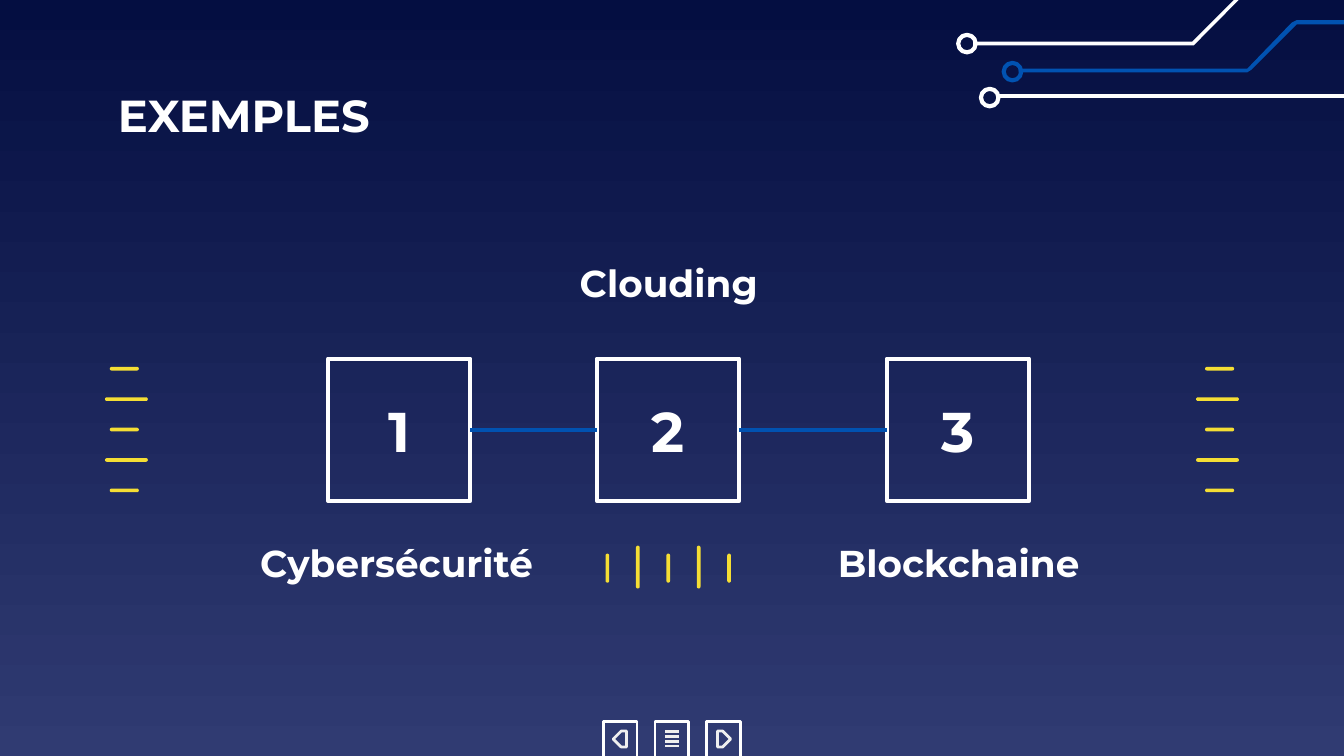
from lxml import etree
from pptx import Presentation
from pptx.dml.color import RGBColor
from pptx.enum.shapes import MSO_CONNECTOR, MSO_SHAPE
from pptx.enum.text import MSO_ANCHOR, MSO_AUTO_SIZE, PP_ALIGN
from pptx.oxml.ns import qn
from pptx.util import Cm, Pt

RECT = MSO_SHAPE.RECTANGLE
OVAL = MSO_SHAPE.OVAL
ROUNDED = MSO_SHAPE.ROUNDED_RECTANGLE
STRAIGHT = MSO_CONNECTOR.STRAIGHT
MIDDLE = MSO_ANCHOR.MIDDLE
NO_AUTOFIT = MSO_AUTO_SIZE.NONE
LEFT, CENTER = PP_ALIGN.LEFT, PP_ALIGN.CENTER

FONT = "Montserrat"
WHITE, BLUE, YELLOW = "FFFFFF", "0152B1", "F5DE34"
NAVY, INDIGO, PALE = "040E41", "303B72", "EFEFEF"

TRACES = [
    (WHITE, (18.11, 0.66), [
        (23.44, -0.1), (23.42, -0.1), (22.53, 0.79), (18.39, 0.79),
        (18.39, 0.86), (22.56, 0.86), (22.58, 0.84), (23.44, -0.03),
        (24.38, -0.03), (24.38, -0.1)]),
    (BLUE, (18.97, 1.19), [
        (24.51, 0.38), (24.41, 0.43), (23.6, 1.27), (23.57, 1.3),
        (19.25, 1.3), (19.25, 1.37), (23.57, 1.37), (23.65, 1.32),
        (24.49, 0.48), (24.51, 0.46), (26.04, 0.46), (26.04, 0.38)]),
    (WHITE, (18.54, 1.68), [
        (18.82, 1.78), (18.82, 1.85), (25.55, 1.85), (25.55, 1.78)]),
]
LABELS = [
    ("Cybersécurité", 4.5, 10.03, 5.99),
    ("Clouding", 9.86, 4.75, 5.56),
    ("Blockchaine", 15.34, 10.03, 5.56),
]
BOX_LEFTS = (6.2, 11.28, 16.76)


def rgb(color):
    return RGBColor.from_string(color)


def paint(sp, fill=None, line=None, width=2.25):
    sp.shadow.inherit = False
    if fill:
        sp.fill.solid()
        sp.fill.fore_color.rgb = rgb(fill)
    else:
        sp.fill.background()
    if line:
        sp.line.color.rgb = rgb(line)
        sp.line.width = Pt(width)
    else:
        sp.line.fill.background()


def add_preset(s, kind, x, y, w, h, **style):
    sp = s.shapes.add_shape(kind, Cm(x), Cm(y), Cm(w), Cm(h))
    paint(sp, **style)
    return sp


def add_outline(s, points, **style):
    start, *rest = [(Cm(x), Cm(y)) for x, y in points]
    builder = s.shapes.build_freeform(*start)
    builder.add_line_segments(rest, close=True)
    paint(builder.convert_to_shape(), **style)


def add_line(s, x1, y1, x2, y2, color, width):
    line = s.shapes.add_connector(STRAIGHT, Cm(x1), Cm(y1), Cm(x2), Cm(y2))
    line.line.color.rgb = rgb(color)
    line.line.width = Pt(width)
    etree.SubElement(line._element.spPr, qn("a:effectLst"))
    return line


def write(sp, text, size, align=CENTER):
    tf = sp.text_frame
    tf.word_wrap = True
    tf.auto_size = NO_AUTOFIT
    tf.vertical_anchor = MIDDLE
    tf.margin_left = tf.margin_right = tf.margin_top = tf.margin_bottom = Cm(0.25)
    p = tf.paragraphs[0]
    p.text = text
    p.alignment = align
    p.font.name = FONT
    p.font.size = Pt(size)
    p.font.bold = True
    p.font.color.rgb = rgb(WHITE)


def set_background(s):
    fill = s.background.fill
    fill.gradient()
    fill.gradient_angle = 270
    for stop, color in zip(fill.gradient_stops, (NAVY, INDIGO)):
        stop.color.rgb = rgb(color)


def add_title(s, text):
    title = s.shapes.title
    title.left, title.top = Cm(1.98), Cm(1.5)
    title.width, title.height = Cm(9.78), Cm(1.32)
    write(title, text, 24, LEFT)


def add_circuit(s):
    for color, (x, y), points in TRACES:
        add_outline(s, points, fill=color)
        add_preset(s, OVAL, x, y, 0.33, 0.33, line=color)


def add_ticks(s, cx, cy, long_shift, stacked):
    for i in range(5):
        is_long = i % 2
        length = 0.81 if is_long else 0.55
        shift = long_shift if is_long else 0
        if stacked:
            x, y, w, h = cx + shift, cy + i * 0.575, length, 0.07
        else:
            x, y, w, h = cx + i * 0.575, cy + shift, 0.07, length
        tick = add_preset(s, ROUNDED, x - w / 2, y - h / 2, w, h, fill=YELLOW)
        tick.adjustments[0] = 0.5


def add_steps(s):
    boxes = []
    for number, x in enumerate(BOX_LEFTS, 1):
        box = add_preset(s, RECT, x, 6.78, 2.69, 2.69, line=WHITE)
        write(box, str(number), 30)
        boxes.append(box)
    for before, after in zip(boxes, boxes[1:]):
        link = add_line(s, 0, 0, 1, 1, BLUE, 2.25)
        link.begin_connect(before, 3)
        link.end_connect(after, 1)


def add_label(s, text, x, y, w):
    box = s.shapes.add_textbox(Cm(x), Cm(y), Cm(w), Cm(1.19))
    write(box, text, 20)


def add_arrow(s, x, direction):
    top = 13.82
    points = [(0, 0), (0, 0.3), (0.1, 0.3), (0.25, 0.15), (0.1, 0)]
    add_outline(s, [(x + direction * dx, top + dy) for dx, dy in points],
                line=PALE, width=1.5)


def add_navigation(s):
    for i in range(3):
        add_preset(s, RECT, 11.4 + i * 0.98, 13.64, 0.64, 0.86,
                   fill=INDIGO, line=WHITE, width=1.5)
    add_arrow(s, 11.84, -1)
    add_arrow(s, 13.56, 1)
    for i in range(4):
        y = 13.83 + i * 0.09
        add_line(s, 12.57, y, 12.83, y, PALE, 1.5)


def main():
    prs = Presentation()
    prs.slide_width, prs.slide_height = Cm(25.4), Cm(14.29)
    s = prs.slides.add_slide(prs.slide_layouts[5])
    set_background(s)
    add_circuit(s)
    add_title(s, "EXEMPLES")
    add_steps(s)
    add_ticks(s, 2.35, 6.97, 0.04, stacked=True)
    add_ticks(s, 11.48, 10.74, -0.02, stacked=False)
    add_ticks(s, 23.05, 6.97, -0.04, stacked=True)
    for label in LABELS:
        add_label(s, *label)
    add_navigation(s)
    prs.save("out.pptx")


if __name__ == "__main__":
    main()
